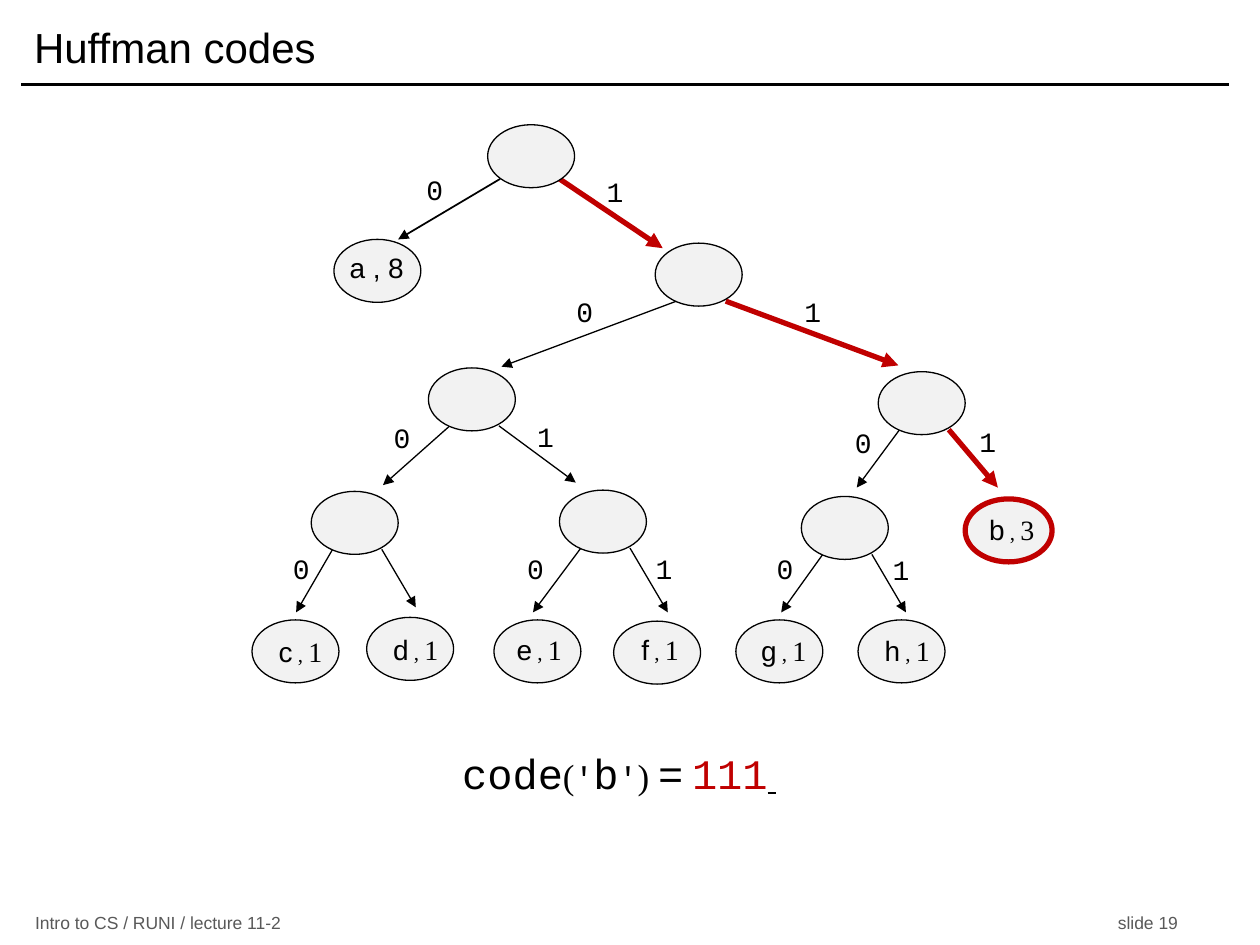
from dataclasses import dataclass
from typing import Optional

from lxml import etree
from pptx import Presentation
from pptx.dml.color import RGBColor
from pptx.enum.shapes import MSO_CONNECTOR, MSO_SHAPE
from pptx.enum.text import MSO_ANCHOR, MSO_AUTO_SIZE, PP_ALIGN
from pptx.oxml.ns import qn
from pptx.util import Inches, Pt

STRAIGHT = MSO_CONNECTOR.STRAIGHT
OVAL = MSO_SHAPE.OVAL
MIDDLE = MSO_ANCHOR.MIDDLE
GROW = MSO_AUTO_SIZE.SHAPE_TO_FIT_TEXT
LEFT, CENTER = PP_ALIGN.LEFT, PP_ALIGN.CENTER


@dataclass(frozen=True)
class Theme:
    ink: str = "000000"
    hot: str = "C00000"
    node: str = "F2F2F2"
    footer: str = "595959"
    sans: str = "Arial"
    mono: str = "Courier New"
    serif: str = "Times New Roman"
    title_size: int = 24
    label_size: int = 16
    comma_size: int = 12
    footer_size: int = 10
    thin: float = 0.75
    thick: float = 3


@dataclass(frozen=True)
class Run:
    text: str
    size: float
    name: str
    color: str = "000000"
    underline: Optional[bool] = None


@dataclass(frozen=True)
class Node:
    x: float
    y: float
    hot: bool = False
    left_exit: tuple[float, float] = (0.17, 0.46)
    right_exit: tuple[float, float] = (0.56, 0.46)


@dataclass(frozen=True)
class Edge:
    parent: str
    bit: str
    end: tuple[float, float]
    bit_at: Optional[tuple[float, float]]
    hot: bool = False
    width: float = 0.75


@dataclass(frozen=True)
class Leaf:
    letter: str
    count: int
    x: float
    y: float
    width: float = 0.56


T = Theme()
NODE_W, NODE_H, TEXT_H, BIT_W = 0.69, 0.5, 0.37, 0.32

NODES = {
    "root": Node(3.87, 0.99, left_exit=(0.1, 0.43), right_exit=(0.57, 0.43)),
    "1": Node(5.2, 1.93),
    "10": Node(3.4, 2.92),
    "11": Node(6.97, 2.95),
    "100": Node(2.47, 3.9),
    "101": Node(4.44, 3.89),
    "110": Node(6.36, 3.94),
    "a": Node(2.65, 1.9),
    "b": Node(7.66, 3.96, hot=True),
    "c": Node(2, 4.92),
    "d": Node(2.91, 4.9),
    "e": Node(3.92, 4.92),
    "f": Node(4.87, 4.93),
    "g": Node(5.84, 4.92),
    "h": Node(6.81, 4.92),
}
EDGES = [
    Edge("root", "0", (3.16, 1.9), (3.29, 1.32), width=1),
    Edge("root", "1", (5.26, 1.97), (4.72, 1.34), hot=True),
    Edge("1", "0", (3.98, 2.91), (4.48, 2.29)),
    Edge("1", "1", (7.13, 2.9), (6.29, 2.29), hot=True),
    Edge("10", "0", (3.04, 3.85), (3.03, 3.29)),
    Edge("10", "1", (4.57, 3.83), (4.17, 3.28)),
    Edge("11", "0", (6.8, 3.87), (6.69, 3.33)),
    Edge("11", "1", (7.92, 3.87), (7.68, 3.32), hot=True),
    Edge("100", "0", (2.35, 4.86), (2.23, 4.33)),
    Edge("100", "1", (3.3, 4.82), None),
    Edge("101", "0", (4.23, 4.86), (4.09, 4.33)),
    Edge("101", "1", (5.3, 4.86), (5.11, 4.33)),
    Edge("110", "0", (6.2, 4.86), (6.07, 4.33)),
    Edge("110", "1", (7.19, 4.86), (6.99, 4.34)),
]
LEAVES = [
    Leaf("c", 1, 2.11, 4.99, 0.55),
    Leaf("d", 1, 3.02, 4.97),
    Leaf("e", 1, 4, 4.97),
    Leaf("f", 1, 4.99, 4.97, 0.5),
    Leaf("g", 1, 5.94, 4.98),
    Leaf("h", 1, 6.92, 4.98),
    Leaf("b", 3, 7.75, 4.02),
]
CODE_LINE = [
    Run("code", 24, T.mono),
    Run("(", 20, T.serif),
    Run("'", 18, T.mono),
    Run("b", 24, T.mono),
    Run("'", 18, T.mono),
    Run(") ", 20, T.serif),
    Run("=", 24, T.mono),
    Run(" ", 20, T.serif),
    Run("111", 24, T.mono, T.hot),
    Run(" ", 20, T.serif, underline=True),
]


def write(p, runs: list[Run], align=CENTER) -> None:
    p.alignment = align
    for run in runs:
        r = p.add_run()
        r.text = run.text
        formats = {"size": Pt(run.size), "name": run.name, "underline": run.underline}
        for key, value in formats.items():
            setattr(r.font, key, value)
        r.font.color.rgb = RGBColor.from_string(run.color)


def add_text(s, box: tuple[float, ...], runs: list[Run], wrap=True, inset=0.0):
    tf = s.shapes.add_textbox(*map(Inches, box)).text_frame
    formats = {"word_wrap": wrap, "auto_size": GROW,
               "margin_left": Inches(inset), "margin_right": Inches(inset)}
    for key, value in formats.items():
        setattr(tf, key, value)
    write(tf.paragraphs[0], runs)
    return tf


def add_line(s, start, end, color: str, width: float, arrow=True) -> None:
    sp = s.shapes.add_connector(STRAIGHT, *map(Inches, (*start, *end)))
    sp.line.color.rgb = RGBColor.from_string(color)
    sp.line.width = Pt(width)
    if arrow:
        etree.SubElement(sp.line._get_or_add_ln(), qn("a:tailEnd"), type="triangle")
    etree.SubElement(sp._element.spPr, qn("a:effectLst"))


def add_edge(s, edge: Edge) -> None:
    node = NODES[edge.parent]
    dx, dy = node.left_exit if edge.bit == "0" else node.right_exit
    color, width = (T.hot, T.thick) if edge.hot else (T.ink, edge.width)
    add_line(s, (node.x + dx, node.y + dy), edge.end, color, width)
    if edge.bit_at:
        add_text(s, (*edge.bit_at, BIT_W, TEXT_H), [Run(edge.bit, T.label_size, T.mono)])


def add_node(s, node: Node) -> None:
    sp = s.shapes.add_shape(OVAL, *map(Inches, (node.x, node.y, NODE_W, NODE_H)))
    sp.shadow.inherit = False
    sp.fill.solid()
    sp.fill.fore_color.rgb = RGBColor.from_string(T.node)
    sp.line.color.rgb = RGBColor.from_string(T.hot if node.hot else T.ink)
    sp.line.width = Pt(T.thick if node.hot else T.thin)


def add_leaf(s, leaf: Leaf) -> None:
    runs = [Run(leaf.letter, T.label_size, T.sans), Run(" , ", T.comma_size, T.serif),
            Run(str(leaf.count), T.label_size, T.serif)]
    add_text(s, (leaf.x, leaf.y, leaf.width, TEXT_H), runs, wrap=False, inset=0.1)


def add_title(s) -> None:
    sp = s.shapes.title
    box = {"left": 0.17, "top": 0.08, "width": 9.58, "height": 0.58}
    for key, value in box.items():
        setattr(sp, key, Inches(value))
    sp.text_frame.vertical_anchor = MIDDLE
    write(sp.text_frame.paragraphs[0], [Run("Huffman codes", T.title_size, T.sans)], LEFT)
    add_line(s, (0.17, 0.67), (9.75, 0.67), T.ink, 2, arrow=False)


def add_footer(s) -> None:
    tf = s.shapes.add_textbox(*map(Inches, (0.18, 7.23, 9.42, 0.19))).text_frame
    tf.word_wrap = True
    tf.vertical_anchor = MIDDLE
    p = tf.paragraphs[0]
    tabs = etree.SubElement(p._p.get_or_add_pPr(), qn("a:tabLst"))
    etree.SubElement(tabs, qn("a:tab"), pos=str(Inches(9.07)), algn="r")
    text = "Intro to CS / RUNI / lecture 11-2\tslide 19"
    write(p, [Run(text, T.footer_size, T.sans, T.footer)], LEFT)


def main() -> None:
    prs = Presentation()
    prs.slide_width, prs.slide_height = Inches(10), Inches(7.5)
    s = prs.slides.add_slide(prs.slide_layouts[5])
    add_title(s)
    add_footer(s)
    for edge in EDGES:
        add_edge(s, edge)
    for node in NODES.values():
        add_node(s, node)
    for leaf in LEAVES:
        add_leaf(s, leaf)
    add_text(s, (2.67, 1.94, 0.64, TEXT_H), [Run("a , 8", T.label_size, T.sans)],
             wrap=False, inset=0.1)
    add_text(s, (2.5, 5.88, 4.83, 0.51), CODE_LINE)
    prs.save("out.pptx")


if __name__ == "__main__":
    main()
